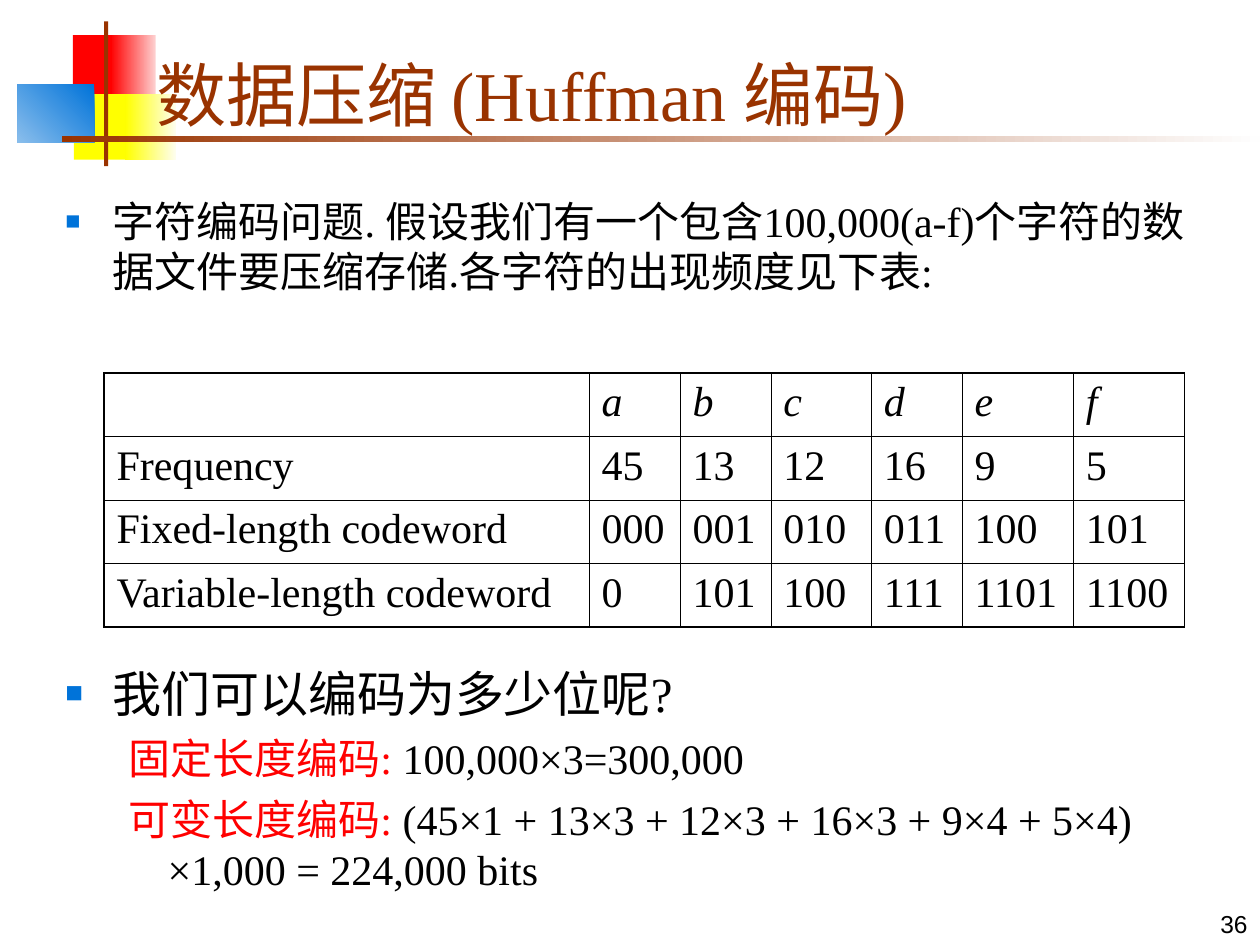
from dataclasses import dataclass

from lxml import etree
from pptx import Presentation
from pptx.dml.color import RGBColor
from pptx.enum.shapes import MSO_SHAPE
from pptx.enum.text import MSO_ANCHOR, PP_ALIGN
from pptx.oxml.ns import qn
from pptx.util import Cm, Pt

RECTANGLE = MSO_SHAPE.RECTANGLE
LEFT, RIGHT = PP_ALIGN.LEFT, PP_ALIGN.RIGHT
TOP, BOTTOM = MSO_ANCHOR.TOP, MSO_ANCHOR.BOTTOM
TITLE_ONLY = 5


@dataclass(frozen=True)
class Theme:
    serif: str = "Times New Roman"
    sans: str = "Arial"
    ink: str = "000000"
    brown: str = "993300"
    brown_fade: str = "FEFEFE"
    red: str = "FF0000"
    red_fade: str = "FED0D0"
    yellow: str = "FFFF00"
    yellow_fade: str = "FEFEEF"
    blue: str = "0073D9"
    blue_fade: str = "8ABEEC"
    title_size: int = 40
    question_size: int = 28
    body_size: int = 24
    number_size: int = 14
    outer_line: float = 1.08
    inner_line: float = 0.45


THEME = Theme()
COLUMN_WIDTHS = [9.78, 1.83, 1.83, 2.03, 1.83, 2.24, 2.24]
ROW_HEIGHT = 1.28
CODE_ROWS = [
    ["", "a", "b", "c", "d", "e", "f"],
    ["Frequency", "45", "13", "12", "16", "9", "5"],
    ["Fixed-length codeword", "000", "001", "010", "011", "100", "101"],
    ["Variable-length codeword", "0", "101", "100", "111", "1101", "1100"],
]


def write(paragraph, text, size=THEME.body_size, color=THEME.ink,
          font=THEME.serif, italic=False, align=LEFT):
    paragraph.alignment = align
    run = paragraph.add_run()
    run.text = text
    run.font.size = Pt(size)
    run.font.name = font
    run.font.italic = italic
    run.font.bold = False
    run.font.color.rgb = RGBColor.from_string(color)


def prepare_frame(frame, anchor=TOP):
    frame.word_wrap = True
    frame.vertical_anchor = anchor
    frame.margin_left = frame.margin_right = Cm(0.25)
    frame.margin_top = frame.margin_bottom = Cm(0.13)


def add_frame(slide, left, top, width, height, anchor=TOP):
    box = slide.shapes.add_textbox(Cm(left), Cm(top), Cm(width), Cm(height))
    prepare_frame(box.text_frame, anchor)
    return box.text_frame


def indent(paragraph, margin, hanging):
    properties = paragraph._p.get_or_add_pPr()
    properties.set("marL", str(Cm(margin)))
    properties.set("indent", str(-Cm(hanging)))
    return properties


def add_bullet(paragraph):
    properties = indent(paragraph, 0.95, 0.95)
    bullet_color = etree.SubElement(properties, qn("a:buClr"))
    etree.SubElement(bullet_color, qn("a:srgbClr"), val=THEME.blue)
    etree.SubElement(properties, qn("a:buSzPct"), val="60000")
    etree.SubElement(properties, qn("a:buFont"), typeface=THEME.sans)
    etree.SubElement(properties, qn("a:buChar"), char="■")


def add_block(slide, left, top, width, height, color, end_color=None, angle=180):
    """Borderless rectangle, with a gradient when end_color is given."""
    block = slide.shapes.add_shape(RECTANGLE, Cm(left), Cm(top), Cm(width), Cm(height))
    block.shadow.inherit = False
    block.line.fill.background()
    if end_color is None:
        block.fill.solid()
        block.fill.fore_color.rgb = RGBColor.from_string(color)
        return
    block.fill.gradient()
    block.fill.gradient_angle = angle
    for stop, stop_color in zip(block.fill.gradient_stops, (color, end_color)):
        stop.color.rgb = RGBColor.from_string(stop_color)


def add_ornament(slide, left, top, width):
    """Coloured squares crossed by a vertical bar and a fading rule."""
    t = THEME
    add_block(slide, left + 1.12, top + 0.28, 0.89, 1.32, t.red)
    add_block(slide, left + 1.88, top + 0.28, 0.91, 1.32, t.red_fade, t.red)
    add_block(slide, left + 1.14, top + 1.47, 1.17, 1.32, t.yellow)
    add_block(slide, left + 2.18, top + 1.47, 1.02, 1.32, t.yellow_fade, t.yellow)
    add_block(slide, left, top + 1.27, 1.55, 1.17, t.blue, t.blue_fade, angle=225)
    add_block(slide, left + 1.75, top, 0.08, 2.92, t.brown)
    add_block(slide, left + 0.91, top + 2.31, width - 0.91, 0.13, t.brown_fade, t.brown)


def place_title(slide, left, top, width, height):
    title = slide.shapes.title
    slide.shapes.element.append(title.element)  # bring in front of the ornament
    title.left, title.top = Cm(left), Cm(top)
    title.width, title.height = Cm(width), Cm(height)
    prepare_frame(title.text_frame, BOTTOM)
    write(title.text_frame.paragraphs[0], "数据压缩 (Huffman 编码)",
          size=THEME.title_size, color=THEME.brown)


def add_problem(slide, left, top, width, height):
    problem = add_frame(slide, left, top, width, height).paragraphs[0]
    add_bullet(problem)
    write(problem, "字符编码问题. 假设我们有一个包含100,000(a-f)个字符的"
                   "数据文件要压缩存储.各字符的出现频度见下表:")


def set_borders(cell, outer_sides):
    properties = cell._tc.get_or_add_tcPr()
    for position, side in enumerate("LRTB"):
        width = THEME.outer_line if side in outer_sides else THEME.inner_line
        line = etree.Element(qn(f"a:ln{side}"), w=str(Pt(width)))
        fill = etree.SubElement(line, qn("a:solidFill"))
        etree.SubElement(fill, qn("a:srgbClr"), val=THEME.ink)
        properties.insert(position, line)


def add_code_table(slide, left, top):
    row_count, column_count = len(CODE_ROWS), len(COLUMN_WIDTHS)
    table = slide.shapes.add_table(
        row_count, column_count, Cm(left), Cm(top),
        Cm(sum(COLUMN_WIDTHS)), Cm(ROW_HEIGHT * row_count)).table
    table.first_row = table.horz_banding = False
    for column, width in zip(table.columns, COLUMN_WIDTHS):
        column.width = Cm(width)
    for r, values in enumerate(CODE_ROWS):
        table.rows[r].height = Cm(ROW_HEIGHT)
        for c, value in enumerate(values):
            cell = table.cell(r, c)
            cell.margin_left = cell.margin_right = Cm(0.25)
            cell.margin_top = cell.margin_bottom = Cm(0.13)
            cell.fill.background()
            edges = {"L": c == 0, "R": c == column_count - 1,
                     "T": r == 0, "B": r == row_count - 1}
            set_borders(cell, [side for side, outer in edges.items() if outer])
            if value:
                write(cell.text_frame.paragraphs[0], value, italic=r == 0)


def add_answers(slide, left, top, width, height):
    frame = add_frame(slide, left, top, width, height)
    question = frame.paragraphs[0]
    add_bullet(question)
    write(question, "我们可以编码为多少位呢?", size=THEME.question_size)
    for label, calculation in (
        ("固定长度编码:", " 100,000×3=300,000"),
        ("可变长度编码:", " (45×1 + 13×3 + 12×3 + 16×3 + 9×4 + 5×4) "
                    "×1,000 = 224,000 bits"),
    ):
        answer = frame.add_paragraph()
        indent(answer, 2.06, 0.79)
        answer.space_before = Pt(6)
        write(answer, label, color=THEME.red)
        write(answer, calculation)


def add_page_number(slide, left, top, width, height):
    frame = add_frame(slide, left, top, width, height, BOTTOM)
    write(frame.paragraphs[0], "36", size=THEME.number_size,
          font=THEME.sans, align=RIGHT)


def main():
    deck = Presentation()
    deck.slide_width, deck.slide_height = Cm(25.4), Cm(19.05)
    slide = deck.slides.add_slide(deck.slide_layouts[TITLE_ONLY])
    add_ornament(slide, 0.35, 0.43, 25.05)
    place_title(slide, 2.9, 0.53, 21.64, 2.34)
    add_problem(slide, 1.07, 3.81, 23.85, 2.4)
    add_code_table(slide, 2.1, 7.52)
    add_answers(slide, 1.07, 13.24, 23.85, 5.1)
    add_page_number(slide, 20.12, 17.78, 5.28, 1.27)
    deck.save("out.pptx")


if __name__ == "__main__":
    main()
